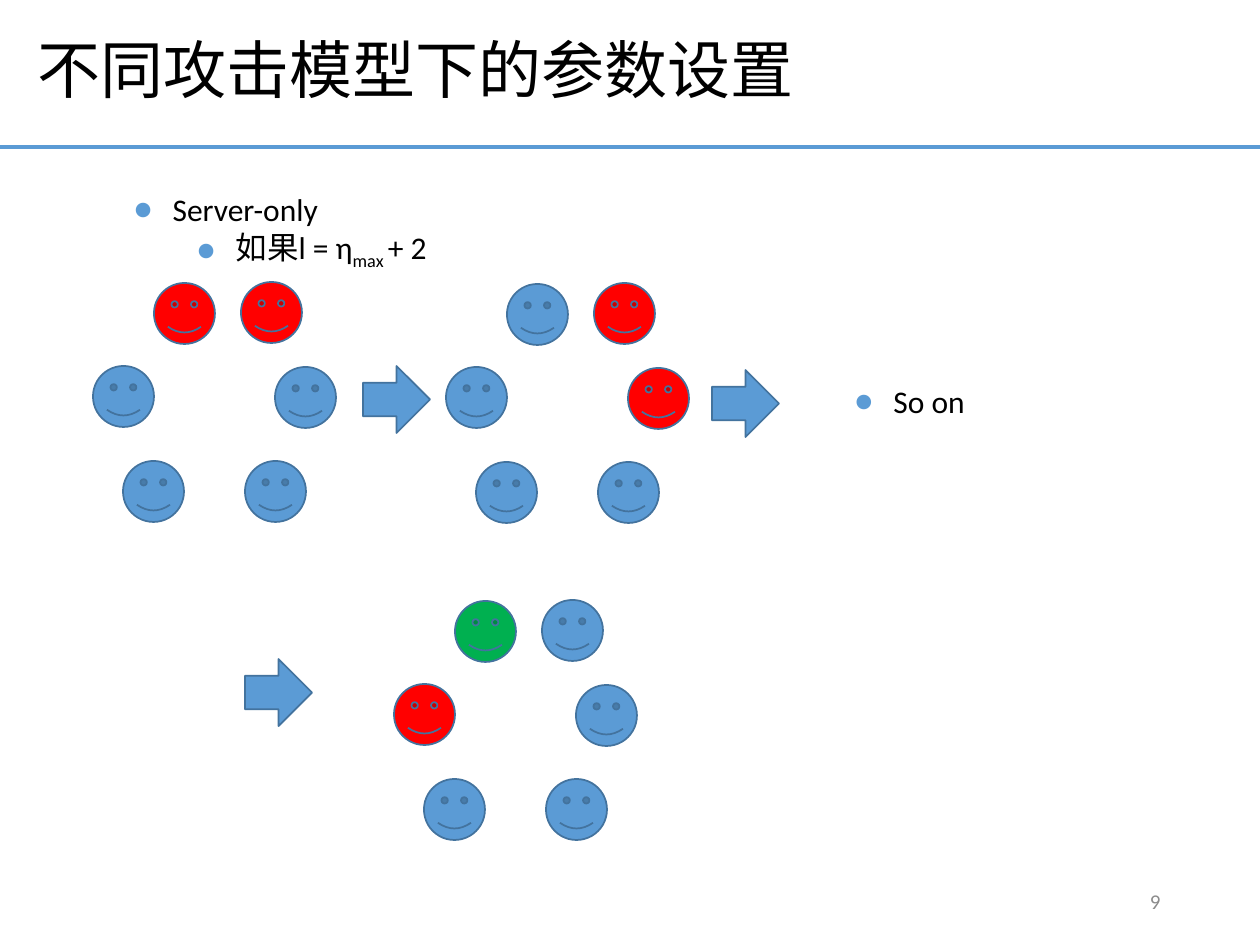
from lxml import etree
from pptx import Presentation
from pptx.dml.color import RGBColor
from pptx.enum.shapes import MSO_CONNECTOR, MSO_SHAPE
from pptx.enum.text import MSO_ANCHOR, PP_ALIGN
from pptx.oxml.ns import qn
from pptx.util import Emu, Pt

STRAIGHT = MSO_CONNECTOR.STRAIGHT
SMILEY, ARROW = MSO_SHAPE.SMILEY_FACE, MSO_SHAPE.RIGHT_ARROW
MIDDLE, TOP = MSO_ANCHOR.MIDDLE, MSO_ANCHOR.TOP
LEFT, RIGHT = PP_ALIGN.LEFT, PP_ALIGN.RIGHT
PX = 914400 / 126

THEME = {
    "font": "Calibri",
    "text": "000000", "muted": "8C8C8C",
    "blue": "5B9BD5", "outline": "43739E",
    "red": "FF0000", "green": "00B050",
    "title_size": 36, "body_size": 18, "number_size": 12,
}


def px(*lengths):
    return [Emu(round(length * PX)) for length in lengths]


def format_para(para, size, color, align=LEFT, bullet_indent=None):
    para.alignment = align
    para.space_before = Pt(0)
    for run in para.runs:
        run.font.name = THEME["font"]
        run.font.size = Pt(THEME[size])
        run.font.color.rgb = RGBColor.from_string(THEME[color])
    if bullet_indent:
        margin, hanging = px(bullet_indent, -39)
        properties = para._p.get_or_add_pPr()
        properties.set("marL", str(margin))
        properties.set("indent", str(hanging))
        bullet_color = etree.SubElement(properties, qn("a:buClr"))
        etree.SubElement(bullet_color, qn("a:srgbClr"), val=THEME["blue"])
        etree.SubElement(properties, qn("a:buFont"), typeface=THEME["font"])
        etree.SubElement(properties, qn("a:buChar"), char="●")


deck = Presentation()
deck.slide_width, deck.slide_height = px(1260, 945)
page = deck.slides.add_slide(deck.slide_layouts[1])
title, body = page.placeholders

rule = page.shapes.add_connector(STRAIGHT, *px(0, 147, 1260, 147))
rule.line.color.rgb = RGBColor.from_string(THEME["blue"])
rule.line.width = Pt(2)
etree.SubElement(rule._element.spPr, qn("a:effectLst"))

title.left, title.top, title.width, title.height = px(25, 0, 1215, 147)
title.text_frame.text = "不同攻击模型下的参数设置"
title.text_frame.vertical_anchor = MIDDLE
title_para = title.text_frame.paragraphs[0]
title_para.line_spacing = 0.9
format_para(title_para, "title_size", "text")

body.left, body.top, body.width, body.height = px(58, 184, 1200, 89)
body.text_frame.text = "Server-only"
body.text_frame.vertical_anchor = TOP
condition = body.text_frame.add_paragraph()
condition.level = 1
for text in ("如果l = η", "max ", "+ 2"):
    condition.add_run().text = text
condition.runs[1]._r.get_or_add_rPr().set("baseline", "-25000")
for para, indent in zip(body.text_frame.paragraphs, (102, 165)):
    format_para(para, "body_size", "text", bullet_indent=indent)

for text, frame, anchor, style in (
    ("So on", (779, 376, 480, 50), TOP, ("body_size", "text", LEFT, 102)),
    ("9", (890, 876, 283, 50), MIDDLE, ("number_size", "muted", RIGHT)),
):
    box = page.shapes.add_textbox(*px(*frame))
    box.text_frame.word_wrap = True
    box.text_frame.text = text
    box.text_frame.vertical_anchor = anchor
    format_para(box.text_frame.paragraphs[0], *style)

SEATS = {
    "top left": (61, 1), "top right": (148, 0),
    "left": (0, 84), "right": (182, 85),
    "bottom left": (30, 179), "bottom right": (152, 179),
}
RINGS = (
    (93, 282, {"top left": "red", "top right": "red"}),
    (446, 283, {"top right": "red", "right": "red"}),
    (394, 600, {"top left": "green", "left": "red"}),
)
figures = [(ARROW, left, top, 67, "blue") for left, top in ((363, 366), (712, 370), (245, 659))]
for ring_left, ring_top, marked in RINGS:
    for seat, (right_by, down_by) in SEATS.items():
        figures.append((SMILEY, ring_left + right_by, ring_top + down_by, 61, marked.get(seat, "blue")))

for kind, left, top, size, color in figures:
    figure = page.shapes.add_shape(kind, *px(left, top, size, size))
    figure.shadow.inherit = False
    figure.fill.solid()
    figure.fill.fore_color.rgb = RGBColor.from_string(THEME[color])
    figure.line.color.rgb = RGBColor.from_string(THEME["outline"])
    figure.line.width = Pt(1)

deck.save("out.pptx")
